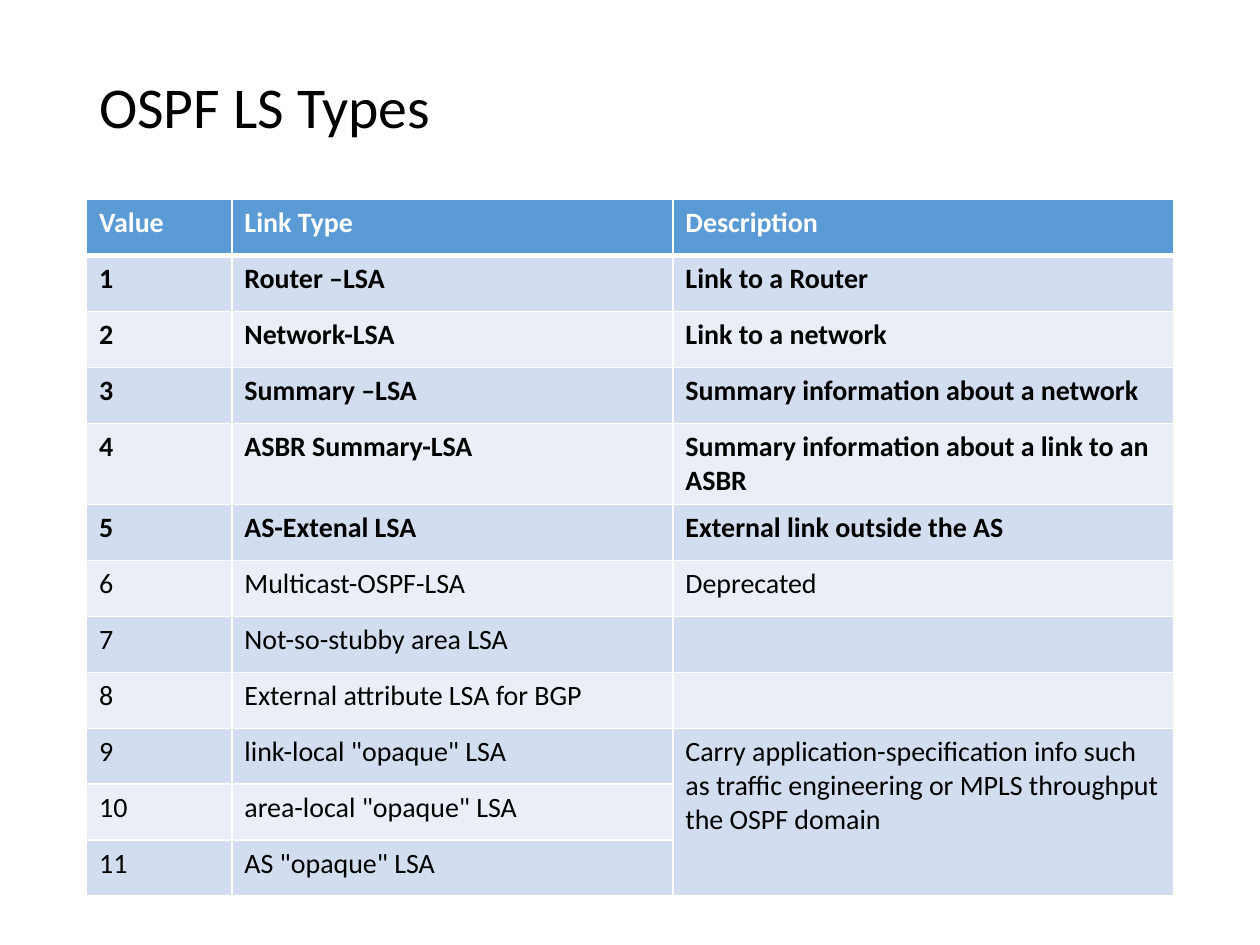
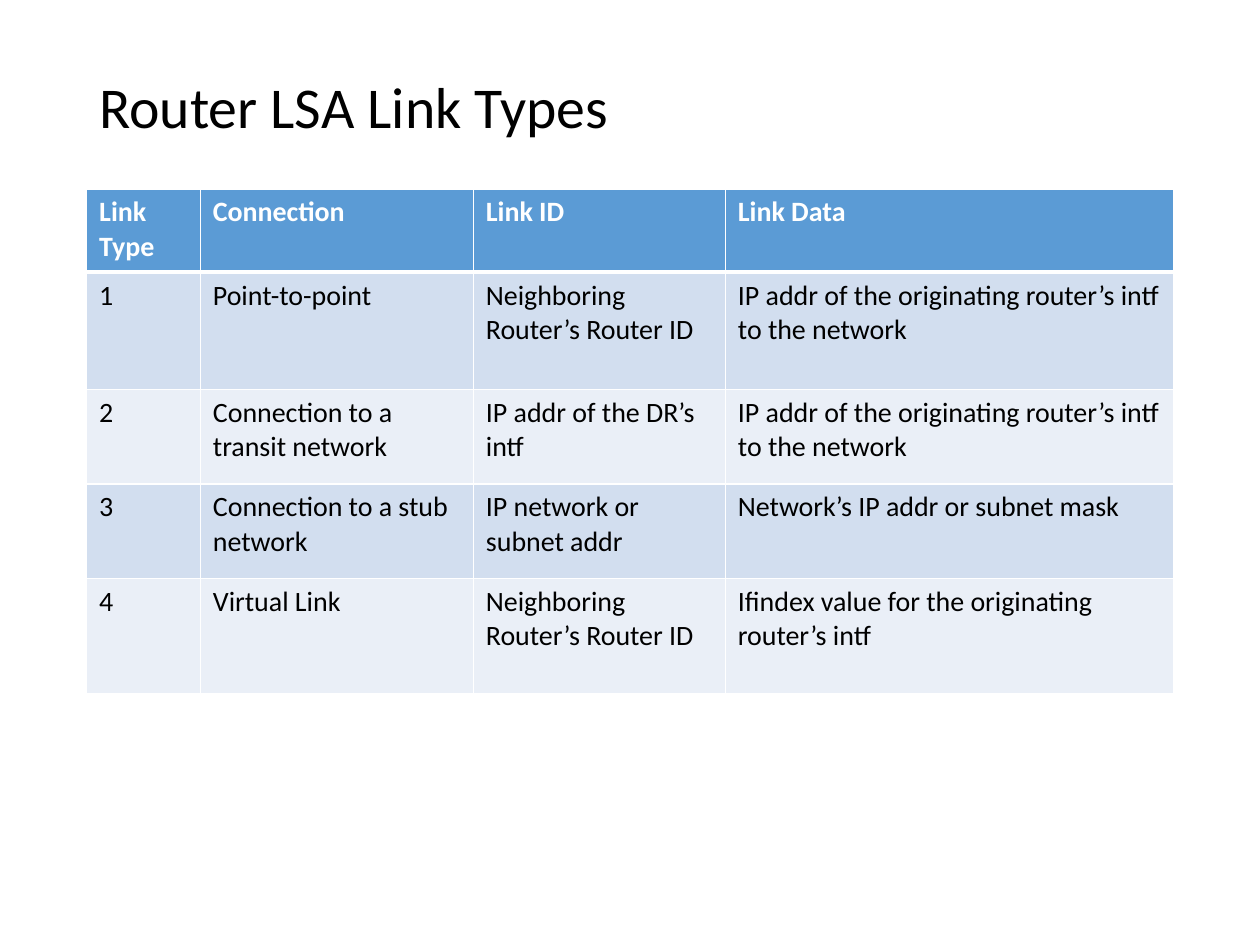
from lxml import etree
from pptx import Presentation
from pptx.dml.color import RGBColor
from pptx.enum.text import MSO_ANCHOR, PP_ALIGN
from pptx.oxml.ns import qn
from pptx.util import Pt

MIDDLE = MSO_ANCHOR.MIDDLE
LEFT = PP_ALIGN.LEFT
TITLE_ONLY = 5

BLACK = RGBColor(0x00, 0x00, 0x00)
WHITE = RGBColor(0xFF, 0xFF, 0xFF)
HEADER_BLUE = RGBColor(0x5B, 0x9B, 0xD5)
BANDS = (RGBColor(0xD2, 0xDE, 0xEF), RGBColor(0xEA, 0xEF, 0xF7))

FONT = "Calibri"
TITLE_FONT = {"name": FONT, "size": Pt(33), "bold": False}
CELL_FONT = {"name": FONT, "size": Pt(16)}
MARGIN = 49.5
TITLE_BOX = {"left": Pt(MARGIN), "top": Pt(29), "width": Pt(621), "height": Pt(67)}

LS_TYPES = [
    ("Value", "Link Type", "Description"),
    ("1", "Router –LSA", "Link to a Router"),
    ("2", "Network-LSA", "Link to a network"),
    ("3", "Summary –LSA", "Summary information about a network"),
    ("4", "ASBR Summary-LSA", "Summary information about a link to an ASBR"),
    ("5", "AS-Extenal LSA", "External link outside the AS"),
    ("6", "Multicast-OSPF-LSA", "Deprecated"),
    ("7", "Not-so-stubby area LSA", ""),
    ("8", "External attribute LSA for BGP", ""),
    ("9", 'link-local "opaque" LSA',
     "Carry application-specification info such as traffic engineering "
     "or MPLS throughput the OSPF domain"),
    ("10", 'area-local "opaque" LSA', ""),
    ("11", 'AS "opaque" LSA', ""),
]

ROUTER_LINKS = [
    ("Link Type", "Connection", "Link ID", "Link Data"),
    ("1", "Point-to-point", "Neighboring Router’s Router ID",
     "IP addr of the originating router’s intf to the network"),
    ("2", "Connection to a transit network", "IP addr of the DR’s intf",
     "IP addr of the originating router’s intf to the network"),
    ("3", "Connection to a stub network", "IP network or subnet addr",
     "Network’s IP addr or subnet mask"),
    ("4", "Virtual Link", "Neighboring Router’s Router ID",
     "Ifindex value for the originating router’s intf"),
]


def apply(target, values):
    """Set every attribute in values on target."""
    for name, value in values.items():
        setattr(target, name, value)


def add_page(deck, title):
    """Add a slide with the shared title style."""
    page = deck.slides.add_slide(deck.slide_layouts[TITLE_ONLY])
    box = page.shapes.title
    apply(box, TITLE_BOX)
    box.text_frame.text = title
    apply(box.text_frame, {"vertical_anchor": MIDDLE, "word_wrap": True})
    para = box.text_frame.paragraphs[0]
    apply(para, {"alignment": LEFT, "line_spacing": 0.9})
    apply(para.runs[0].font, TITLE_FONT)
    para.runs[0].font.color.rgb = BLACK
    return page


def set_borders(cell, top, bottom):
    """Give a cell white borders, with the top and bottom widths in points."""
    properties = cell._tc.get_or_add_tcPr()
    widths = {"a:lnL": 1, "a:lnR": 1, "a:lnT": top, "a:lnB": bottom}
    for position, (tag, width) in enumerate(widths.items()):
        line = etree.Element(qn(tag), w=str(Pt(width)))
        fill = etree.SubElement(line, qn("a:solidFill"))
        etree.SubElement(fill, qn("a:srgbClr"), val=str(WHITE))
        properties.insert(position, line)


def style_cell(cell, text, row, bold):
    """Write and colour one cell according to its row."""
    cell.text = text
    cell.fill.solid()
    cell.fill.fore_color.rgb = BANDS[(row - 1) % 2] if row else HEADER_BLUE
    font = cell.text_frame.paragraphs[0].font
    if text:
        font = cell.text_frame.paragraphs[0].runs[0].font
    apply(font, {**CELL_FONT, "bold": bold})
    font.color.rgb = BLACK if row else WHITE
    set_borders(cell, 3 if row == 1 else 1, 1 if row else 3)


def add_grid(page, top, widths, heights, rows, bold_rows=1):
    """Add a banded table whose first bold_rows rows are bold."""
    frame = page.shapes.add_table(len(rows), len(widths), Pt(MARGIN), Pt(top),
                                  Pt(sum(widths)), Pt(sum(heights)))
    table = frame.table
    for column, width in zip(table.columns, widths):
        column.width = Pt(width)
    for row, (texts, height) in enumerate(zip(rows, heights)):
        table.rows[row].height = Pt(height)
        for column, text in enumerate(texts):
            style_cell(table.cell(row, column), text, row, row < bold_rows)
    return table


def main():
    """Build both slides and save the deck."""
    deck = Presentation()
    apply(deck, {"slide_width": Pt(720), "slide_height": Pt(540)})

    page = add_page(deck, "OSPF LS Types")
    table = add_grid(page, 114, (83, 252, 286), [32] * len(LS_TYPES), LS_TYPES, bold_rows=6)
    table.cell(9, 2).merge(table.cell(11, 2))

    page = add_page(deck, "Router LSA Link Types")
    add_grid(page, 108, (65, 156, 144, 256), (47.5, 67, 54, 54, 66), ROUTER_LINKS)

    deck.save("out.pptx")


if __name__ == "__main__":
    main()
